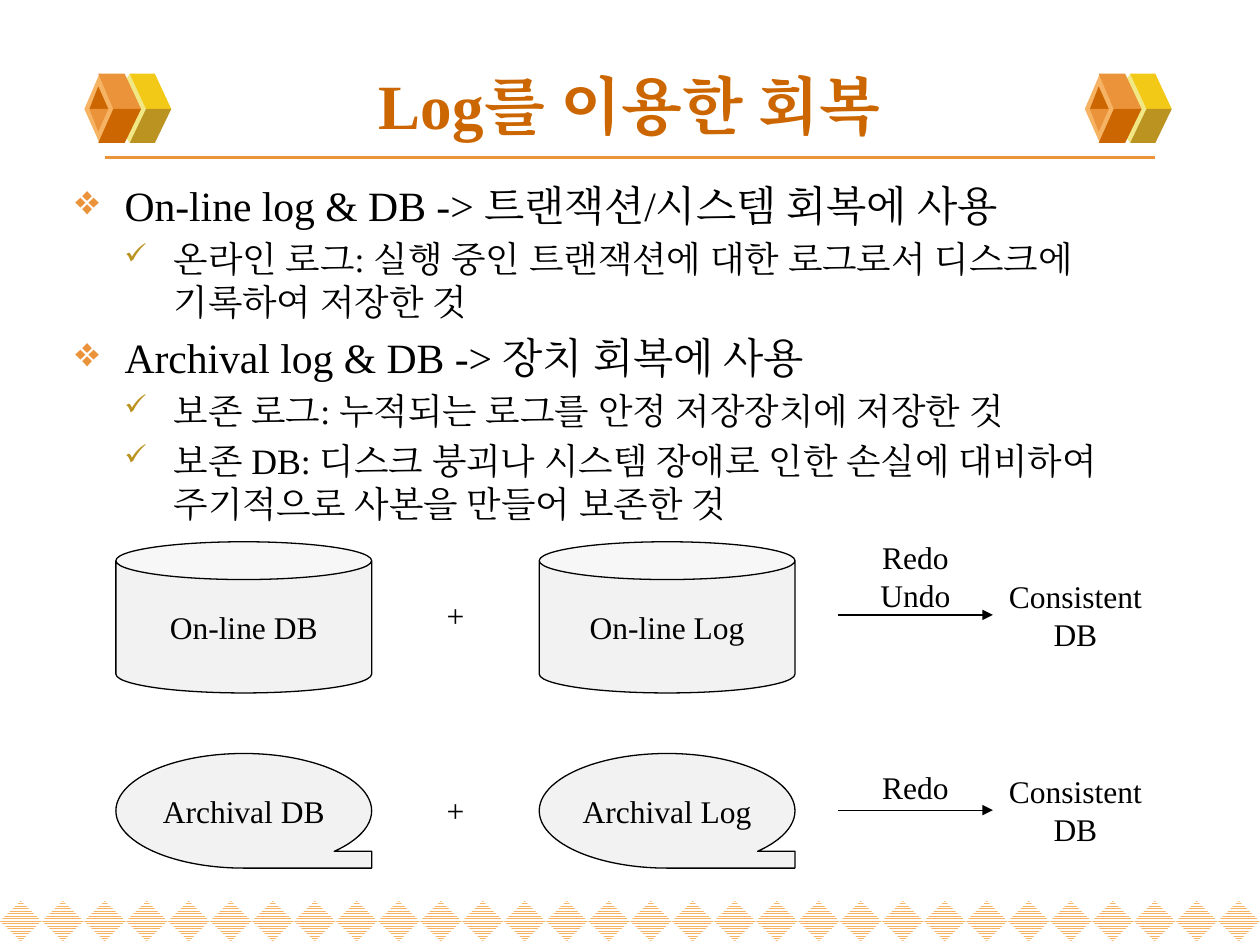
"""Build the slide on recovery with on-line and archival logs."""
from lxml.etree import SubElement
from pptx import Presentation
from pptx.dml.color import RGBColor
from pptx.enum.dml import MSO_PATTERN
from pptx.enum.shapes import MSO_CONNECTOR, MSO_SHAPE
from pptx.enum.text import MSO_ANCHOR, PP_ALIGN
from pptx.oxml.ns import qn
from pptx.util import Inches, Pt

COLORS = {
    "black": "000000", "white": "FFFFFF", "panel": "F2F2F2",
    "rust": "CC6600", "orange": "EB933B", "apricot": "F5B363",
    "cream": "F1E785", "yellow": "F3C917", "olive": "BB9321",
}
FONT = "Times New Roman"


def rgb(name):
    return RGBColor.from_string(COLORS[name])


def write(paragraph, text, size, color="black", bold=False, align=PP_ALIGN.CENTER):
    paragraph.text = text
    paragraph.alignment = align
    font = paragraph.font
    font.size, font.bold, font.name = Pt(size), bold, FONT
    font.color.rgb = rgb(color)
    defaults = paragraph._p.pPr.find(qn("a:defRPr"))
    SubElement(defaults, qn("a:ea")).set("typeface", FONT)


prs = Presentation()
prs.slide_width, prs.slide_height = Inches(10), Inches(7.5)
slide = prs.slides.add_slide(prs.slide_layouts[6])
shapes = slide.shapes

for column in range(30):
    diamond = shapes.add_shape(
        MSO_SHAPE.DIAMOND, Inches(column / 3), Inches(7.15), Inches(0.33), Inches(0.32))
    diamond.shadow.inherit = False
    diamond.fill.patterned()
    diamond.fill.pattern = MSO_PATTERN.NARROW_HORIZONTAL
    diamond.fill.fore_color.rgb = rgb("apricot")
    diamond.fill.back_color.rgb = rgb("white")
    diamond.line.fill.background()

cube_faces = [
    ("cream", [(0.19, 0.28), (0.36, 0), (0.52, 0.28), (0.36, 0.55)]),
    ("yellow", [(0.49, 0.28), (0.69, 0.28), (0.56, 0), (0.36, 0)]),
    ("olive", [(0.49, 0.28), (0.69, 0.28), (0.56, 0.55), (0.36, 0.55)]),
    ("apricot", [(0, 0.28), (0.12, 0), (0.24, 0.28), (0.12, 0.55)]),
    ("orange", [(0.23, 0.28), (0.45, 0.28), (0.32, 0), (0.11, 0)]),
    ("rust", [(0.23, 0.28), (0.45, 0.28), (0.32, 0.55), (0.11, 0.55)]),
    ("rust", [(0.11, 0.1), (0.04, 0.28), (0.19, 0.28)]),
    ("orange", [(0.11, 0.46), (0.04, 0.28), (0.19, 0.28)]),
]
for cube_left in (0.67, 8.61):
    for color, corners in cube_faces:
        points = [(Inches(cube_left + x), Inches(0.585 + y)) for x, y in corners]
        builder = shapes.build_freeform(*points[0])
        builder.add_line_segments(points[1:], close=True)
        face = builder.convert_to_shape()
        face.shadow.inherit = False
        face.fill.solid()
        face.fill.fore_color.rgb = rgb(color)
        face.line.fill.background()

title = shapes.add_textbox(Inches(0.5), Inches(0.45), Inches(9), Inches(0.76)).text_frame
title.word_wrap = True
title.vertical_anchor = MSO_ANCHOR.MIDDLE
write(title.paragraphs[0], "Log를 이용한 회복", 36, "rust", bold=True)

body = shapes.add_textbox(Inches(0.5), Inches(1.35), Inches(9), Inches(2.43)).text_frame
body.word_wrap = True
body.margin_top = body.margin_bottom = Inches(0.08)
levels = [
    {"size": 23.8, "indent": 0.39, "mark": "❖", "color": "orange", "scale": 100},
    {"size": 20.4, "indent": 0.78, "mark": "✓", "color": "olive", "scale": 80},
]
points = [
    (0, "On-line log & DB -> 트랜잭션/시스템 회복에 사용"),
    (1, "온라인 로그: 실행 중인 트랜잭션에 대한 로그로서 디스크에 기록하여 저장한 것"),
    (0, "Archival log & DB -> 장치 회복에 사용"),
    (1, "보존 로그: 누적되는 로그를 안정 저장장치에 저장한 것"),
    (1, "보존 DB: 디스크 붕괴나 시스템 장애로 인한 손실에 대비하여 주기적으로 사본을 만들어 보존한 것"),
]
for index, (depth, text) in enumerate(points):
    level = levels[depth]
    point = body.add_paragraph() if index else body.paragraphs[0]
    point.level = depth
    properties = point._p.get_or_add_pPr()
    properties.set("marL", str(Inches(level["indent"])))
    properties.set("indent", str(Inches(-0.39)))
    bullet_color = SubElement(properties, qn("a:buClr"))
    SubElement(bullet_color, qn("a:srgbClr")).set("val", COLORS[level["color"]])
    SubElement(properties, qn("a:buSzPct")).set("val", str(level["scale"] * 1000))
    SubElement(properties, qn("a:buChar")).set("char", level["mark"])
    if index:
        point.space_before = Pt(round(level["size"] * 0.2, 1))
    write(point, text, level["size"], align=PP_ALIGN.LEFT)

stores = [
    (MSO_SHAPE.CAN, 4.3, 1.2, ("On-line DB", "On-line Log")),
    (MSO_SHAPE.FLOWCHART_SEQUENTIAL_ACCESS_STORAGE, 5.98, 0.91, ("Archival DB", "Archival Log")),
]
for kind, top, height, names in stores:
    for left, name in zip((0.92, 4.28), names):
        store = shapes.add_shape(kind, Inches(left), Inches(top), Inches(2.03), Inches(height))
        store.shadow.inherit = False
        store.fill.solid()
        store.fill.fore_color.rgb = rgb("panel")
        store.line.color.rgb = rgb("black")
        store.line.width = Pt(0.75)
        frame = store.text_frame
        frame.margin_left = frame.margin_right = Inches(0.04)
        frame.margin_top = frame.margin_bottom = Inches(0.04)
        frame.vertical_anchor = MSO_ANCHOR.MIDDLE
        write(frame.paragraphs[0], name, 18)

labels = [
    ("+", 3.42, 4.68, 0.39, 0.4),
    ("+", 3.42, 6.23, 0.39, 0.4),
    ("Consistent DB", 7.88, 4.53, 1.31, 0.71),
    ("Consistent DB", 7.88, 6.08, 1.31, 0.71),
    ("Redo Undo", 6.85, 4.22, 0.83, 0.71),
    ("Redo", 6.85, 6.05, 0.83, 0.4),
]
for text, *place in labels:
    label = shapes.add_textbox(*map(Inches, place)).text_frame
    label.word_wrap = True
    write(label.paragraphs[0], text, 18)

rules = [
    (0.83, 9.17, 1.25, "orange", 2.25, False),
    (6.65, 7.88, 4.88, "black", 0.75, True),
    (6.65, 7.88, 6.43, "black", 0.75, True),
]
for start, end, y, color, width, has_arrow in rules:
    rule = shapes.add_connector(
        MSO_CONNECTOR.STRAIGHT, Inches(start), Inches(y), Inches(end), Inches(y))
    rule.line.color.rgb = rgb(color)
    rule.line.width = Pt(width)
    if has_arrow:
        SubElement(rule.line._get_or_add_ln(), qn("a:tailEnd")).set("type", "triangle")
    SubElement(rule._element.spPr, qn("a:effectLst"))

prs.save("out.pptx")
